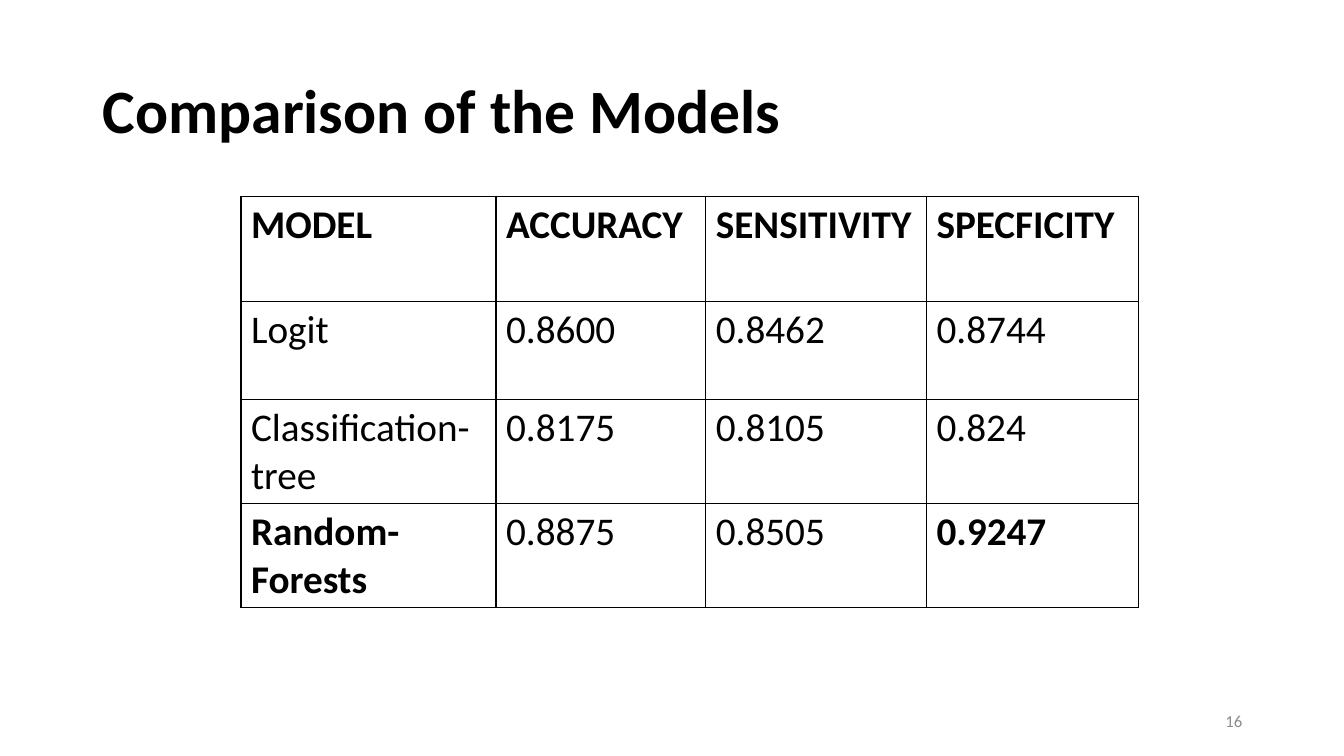
from lxml.etree import SubElement
from pptx import Presentation
from pptx.dml.color import RGBColor
from pptx.enum.text import MSO_ANCHOR as Anchor, MSO_AUTO_SIZE as AutoSize, PP_ALIGN as Align
from pptx.oxml.ns import qn
from pptx.util import Emu, Pt

PX = 9144
BLACK, WHITE, GREY = "000000", "FFFFFF", "8C8C8C"
COLUMN_WIDTHS = [253, 208, 219, 210]
ROW_HEIGHTS = [104, 97, 97, 97]
RESULTS = [
    ["MODEL", "ACCURACY", "SENSITIVITY", "SPECFICITY"],
    ["Logit", "0.8600", "0.8462", "0.8744"],
    ["Classification-tree", "0.8175", "0.8105", "0.824"],
    ["Random-Forests", "0.8875", "0.8505", "0.9247"],
]
BEST = {"Random-Forests", "0.9247"}


def px(length):
    return Emu(length * PX)


def color(code):
    return RGBColor.from_string(code)


def write(frame, text, size, code, bold=False, align=Align.LEFT):
    frame.text = text
    paragraph = frame.paragraphs[0]
    paragraph.alignment = align
    font = paragraph.font
    font.name, font.size, font.bold = "Calibri", Pt(size), bold
    font.color.rgb = color(code)
    return paragraph


def add_heading(slide, left, top, width, height):
    heading = slide.shapes.title
    heading.left, heading.top = px(left), px(top)
    heading.width, heading.height = px(width), px(height)
    frame = heading.text_frame
    frame.auto_size = AutoSize.NONE
    frame.vertical_anchor = Anchor.MIDDLE
    write(frame, "Comparison of the Models", 44, BLACK, bold=True).line_spacing = 0.9


def add_page_number(slide, left, top, width, height):
    number = slide.shapes.add_textbox(px(left), px(top), px(width), px(height))
    frame = number.text_frame
    frame.word_wrap = True
    frame.vertical_anchor = Anchor.MIDDLE
    write(frame, "16", 12, GREY, align=Align.RIGHT)


def outline(cell):
    properties = cell._tc.get_or_add_tcPr()
    for side in ("a:lnL", "a:lnR", "a:lnT", "a:lnB"):
        border = SubElement(properties, qn(side), w=str(Pt(1)))
        fill = SubElement(border, qn("a:solidFill"))
        SubElement(fill, qn("a:srgbClr"), val=BLACK)


def add_results(slide, left, top):
    results = slide.shapes.add_table(
        len(RESULTS), len(COLUMN_WIDTHS), px(left), px(top),
        px(sum(COLUMN_WIDTHS)), px(sum(ROW_HEIGHTS))).table
    results.horz_banding = False
    for column, width in zip(results.columns, COLUMN_WIDTHS):
        column.width = px(width)
    for index, (row, height, values) in enumerate(zip(results.rows, ROW_HEIGHTS, RESULTS)):
        row.height = px(height)
        for cell, value in zip(row.cells, values):
            outline(cell)
            cell.fill.solid()
            cell.fill.fore_color.rgb = color(WHITE)
            write(cell.text_frame, value, 28, BLACK, bold=index == 0 or value in BEST)


def main():
    deck = Presentation()
    deck.slide_width, deck.slide_height = px(1333), px(750)
    slide = deck.slides.add_slide(deck.slide_layouts[5])
    add_heading(slide, 92, 40, 1150, 145)
    add_page_number(slide, 942, 695, 300, 40)
    add_results(slide, 239, 195)
    deck.save("out.pptx")


if __name__ == "__main__":
    main()
